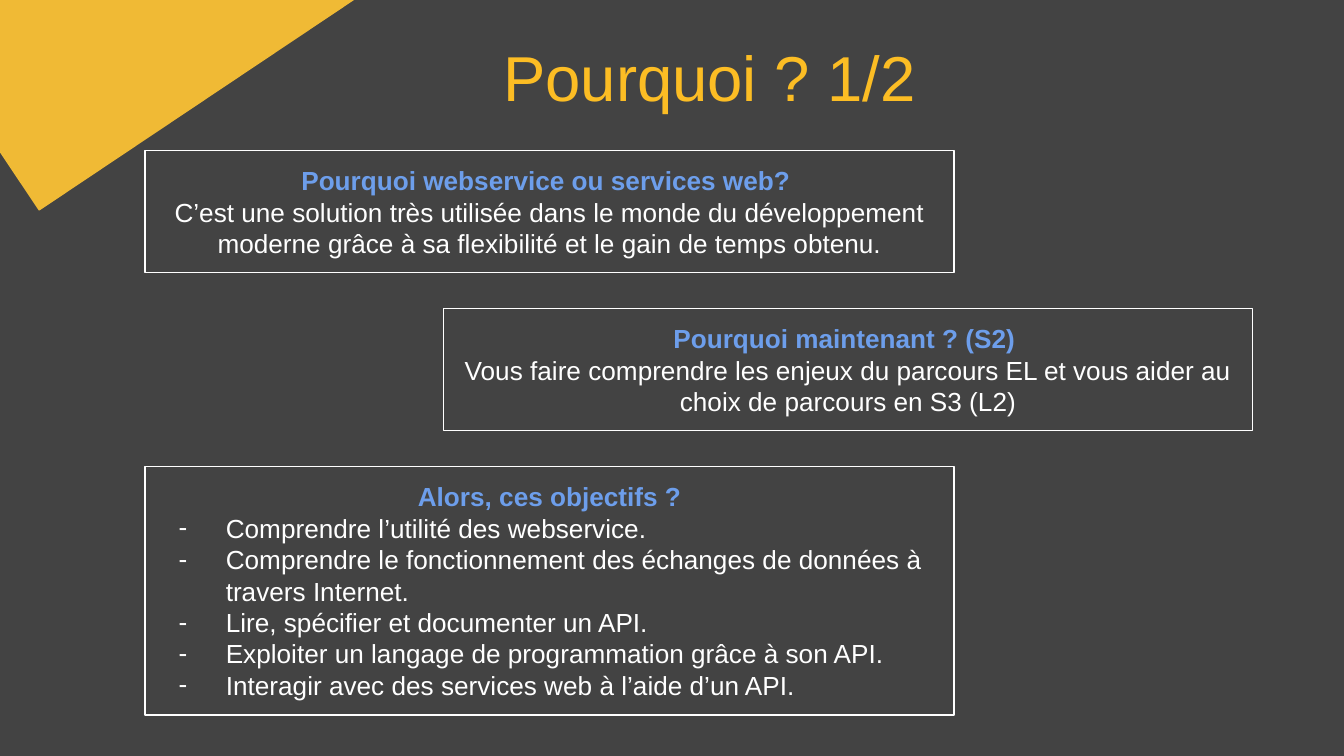
from lxml import etree
from pptx import Presentation
from pptx.dml.color import RGBColor
from pptx.enum.shapes import MSO_SHAPE
from pptx.enum.text import MSO_ANCHOR, MSO_AUTO_SIZE, PP_ALIGN
from pptx.oxml.ns import qn
from pptx.util import Inches, Pt

RECTANGLE = MSO_SHAPE.RECTANGLE
MIDDLE = MSO_ANCHOR.MIDDLE
NO_AUTOFIT = MSO_AUTO_SIZE.NONE
CENTER, LEFT = PP_ALIGN.CENTER, PP_ALIGN.LEFT

COLORS = {
    "page": "434343",
    "band": "F0BA35",
    "title": "FCBD24",
    "heading": "6D9EEB",
    "text": "FFFFFF",
}
FONT = "Arial"
WIDTH = 10
HEIGHT = WIDTH * 9 / 16

# Cards sit on two left edges, share a width and step down evenly
LEFT_EDGE, RIGHT_EDGE = 1.08, 3.3
CARD_WIDTH, CARD_HEIGHT, LIST_HEIGHT = 6.02, 0.91, 1.85
FIRST_TOP, LIST_TOP = 1.12, 3.47

STATEMENTS = [
    (LEFT_EDGE, "Pourquoi webservice ou services web? ",
     "C’est une solution très utilisée dans le monde du développement "
     "moderne grâce à sa flexibilité et le gain de temps obtenu."),
    (RIGHT_EDGE, "Pourquoi maintenant ? (S2) ",
     "Vous faire comprendre les enjeux du parcours EL et vous aider au "
     "choix de parcours en S3 (L2)"),
]
GOALS = [
    "Comprendre l’utilité des webservice.",
    "Comprendre le fonctionnement des échanges de données à travers Internet.",
    "Lire, spécifier et documenter un API.",
    "Exploiter un langage de programmation grâce à son API.",
    "Interagir avec des services web à l’aide d’un API.",
]


def color(name):
    return RGBColor.from_string(COLORS[name])


def place(shape, box):
    shape.left, shape.top, shape.width, shape.height = map(Inches, box)


def prepare_frame(shape):
    frame = shape.text_frame
    frame.word_wrap = True
    frame.auto_size = NO_AUTOFIT
    frame.vertical_anchor = MIDDLE
    frame.margin_left = frame.margin_right = Inches(0.1)
    frame.margin_top = frame.margin_bottom = Inches(0.1)
    return frame


def write(para, text, color_name, size=14, bold=False, align=CENTER):
    para.alignment = align
    para.space_before = Pt(0)
    span = para.add_run()
    span.text = text
    span.font.name = FONT
    span.font.size = Pt(size)
    span.font.bold = bold
    span.font.color.rgb = color(color_name)


def set_bullet(para, mark=None):
    """Give the paragraph a hanging mark, or none at all."""
    props = para._p.get_or_add_pPr()
    props.set("marL", str(Inches(0.5 if mark else 0)))
    props.set("indent", str(Inches(-0.35 if mark else 0)))
    if mark is None:
        etree.SubElement(props, qn("a:buNone"))
        return
    tint = etree.SubElement(props, qn("a:buClr"))
    etree.SubElement(tint, qn("a:srgbClr"), val=COLORS["text"])
    etree.SubElement(props, qn("a:buFont"), typeface=FONT)
    etree.SubElement(props, qn("a:buChar"), char=mark)


def outline(shape):
    shape.fill.background()
    shape.line.color.rgb = color("text")
    shape.line.width = Pt(0.75)


def add_corner_band(page, box):
    band = page.shapes.add_shape(RECTANGLE, *map(Inches, box))
    band.rotation = 326.2
    band.shadow.inherit = False
    band.fill.solid()
    band.fill.fore_color.rgb = color("band")
    band.line.color.rgb = color("band")
    band.line.width = Pt(0.75)


def fill_title(title, box, text):
    place(title, box)
    write(prepare_frame(title).paragraphs[0], text, "title", size=34)


def add_statement(page, box, heading, text):
    card = page.shapes.add_shape(RECTANGLE, *map(Inches, box))
    card.shadow.inherit = False
    outline(card)
    frame = prepare_frame(card)
    write(frame.paragraphs[0], heading, "heading", bold=True)
    write(frame.add_paragraph(), text, "text")


def fill_goals(body, box, heading, goals):
    place(body, box)
    outline(body)
    frame = prepare_frame(body)
    write(frame.paragraphs[0], heading, "heading", bold=True)
    set_bullet(frame.paragraphs[0])
    for goal in goals:
        para = frame.add_paragraph()
        write(para, goal, "text", align=LEFT)
        set_bullet(para, "-")


def main():
    deck = Presentation()
    deck.slide_width, deck.slide_height = Inches(WIDTH), Inches(HEIGHT)
    page = deck.slides.add_slide(deck.slide_layouts[1])

    # Background and corner decoration
    page.background.fill.solid()
    page.background.fill.fore_color.rgb = color("page")
    add_corner_band(page, (-0.92, -2.43, 4.97, 2.85))

    # Title
    fill_title(page.shapes.title, (3.55, 0.18, 3.46, 0.77), "Pourquoi ? 1/2")

    # Staggered cards, then the list of goals
    step = (LIST_TOP - FIRST_TOP) / len(STATEMENTS)
    for row, (left, heading, text) in enumerate(STATEMENTS):
        box = (left, FIRST_TOP + row * step, CARD_WIDTH, CARD_HEIGHT)
        add_statement(page, box, heading, text)
    fill_goals(page.placeholders[1],
               (LEFT_EDGE, LIST_TOP, CARD_WIDTH, LIST_HEIGHT),
               "Alors, ces objectifs ?", GOALS)

    deck.save("out.pptx")


if __name__ == "__main__":
    main()
